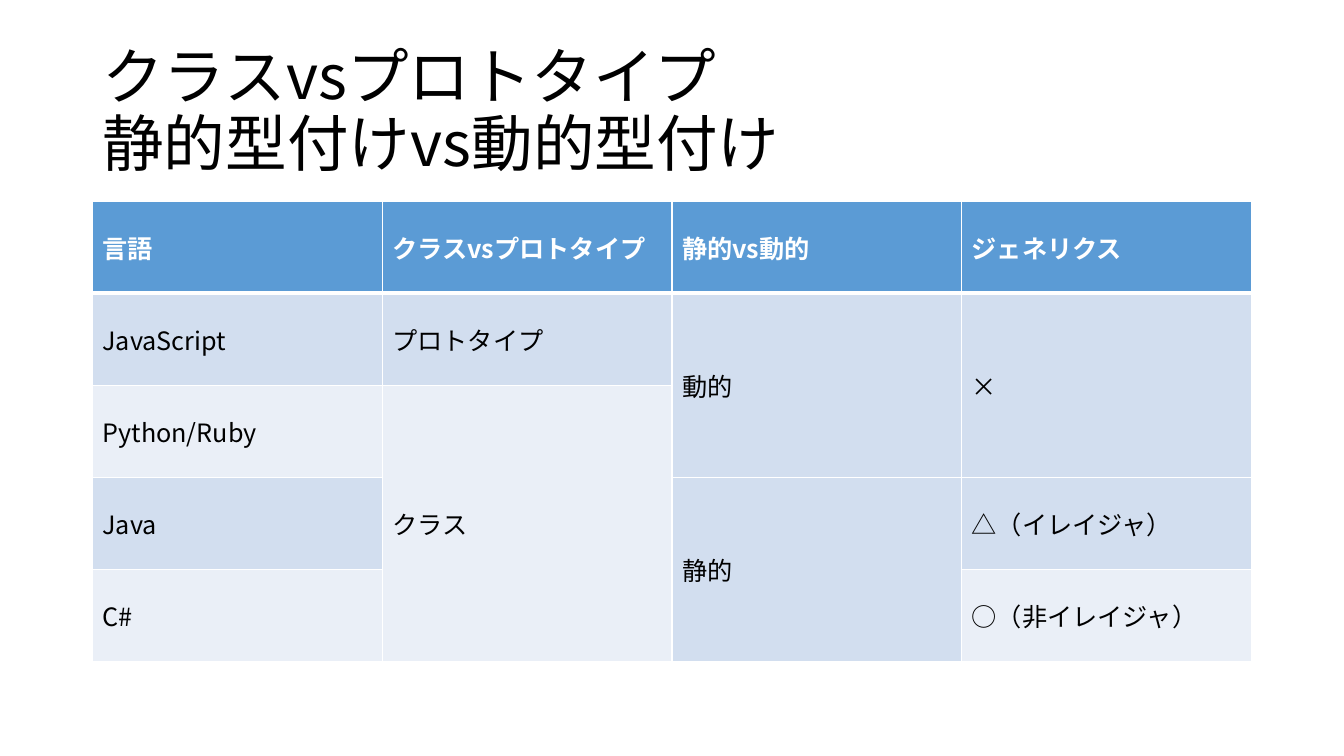
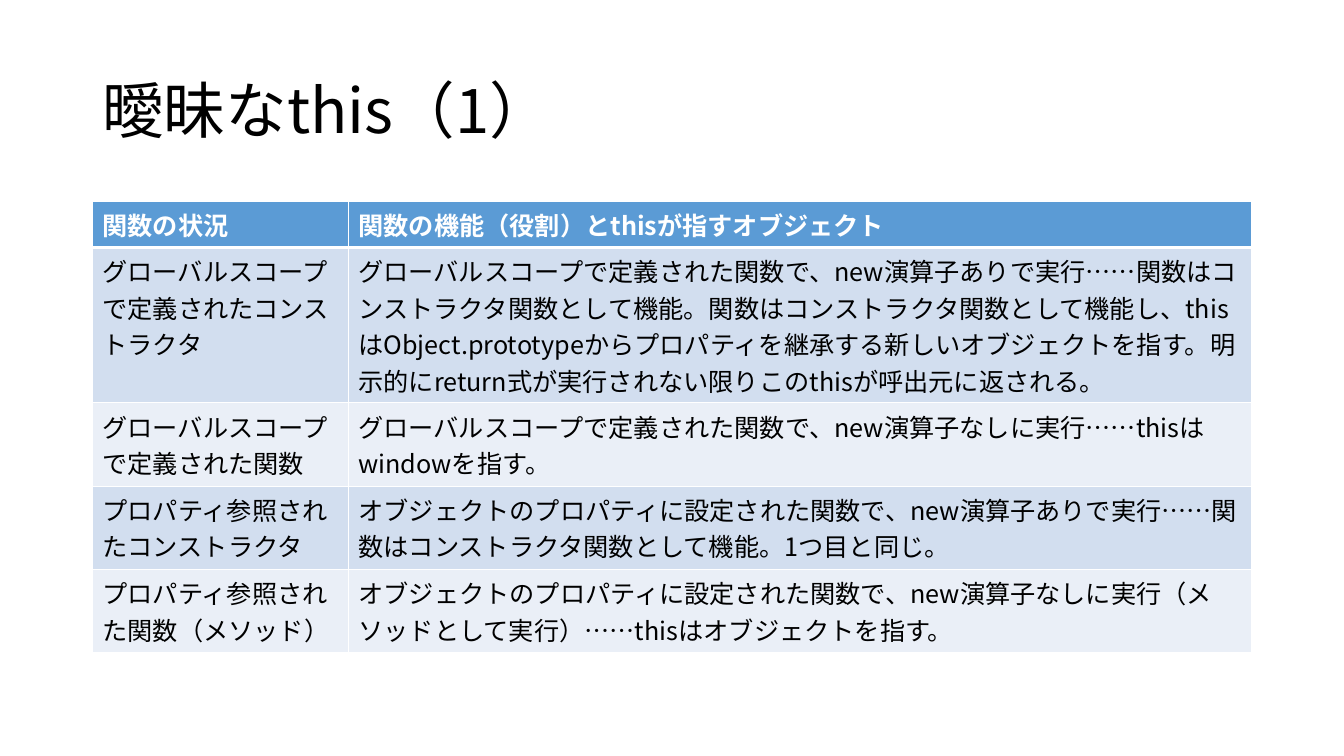
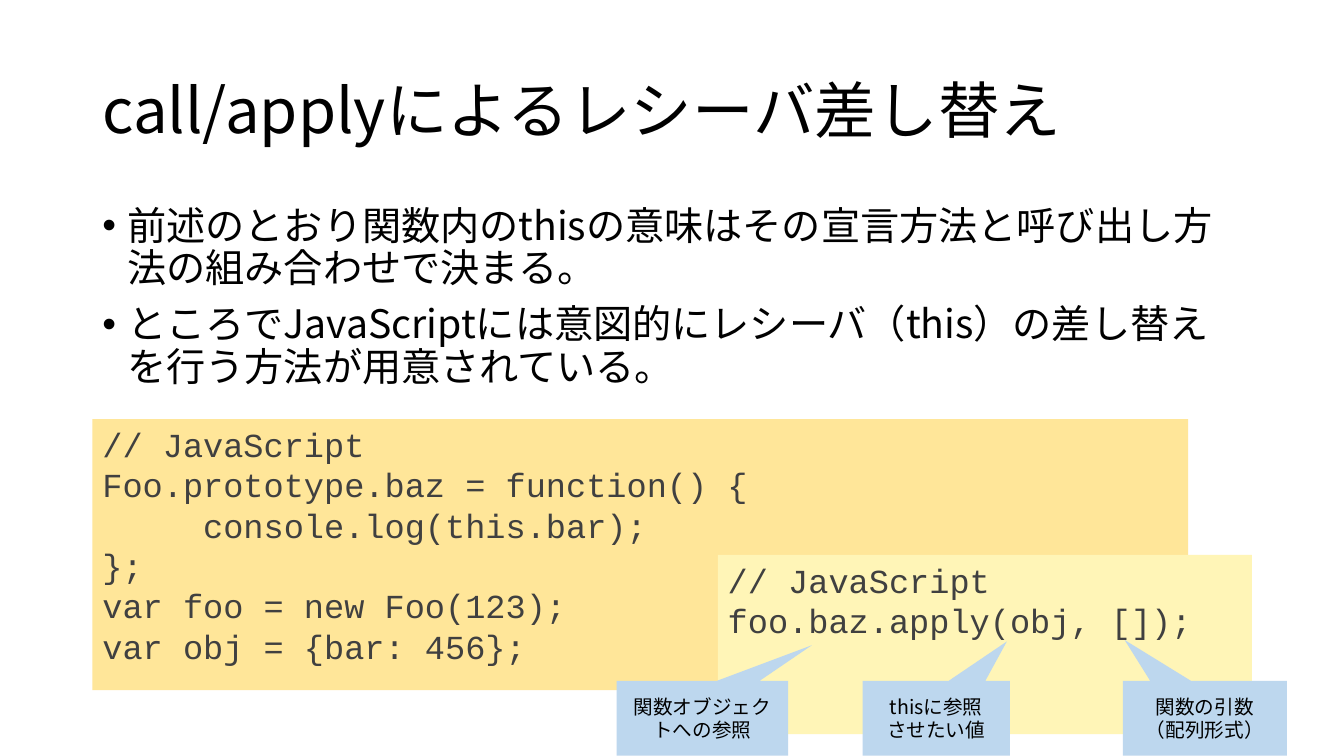
from copy import deepcopy

from lxml.etree import SubElement
from pptx import Presentation
from pptx.dml.color import RGBColor
from pptx.enum.lang import MSO_LANGUAGE_ID
from pptx.enum.shapes import MSO_SHAPE
from pptx.enum.text import MSO_ANCHOR, PP_ALIGN
from pptx.oxml.ns import qn
from pptx.util import Cm, Pt

COLORS = {
    "text": "000000", "white": "FFFFFF", "header": "5B9BD5",
    "band_dark": "D2DEEF", "band_light": "EAEFF7",
    "code": "404040", "note": "FFE699", "note_light": "FFF5B7", "callout": "BDD7EE",
}
SANS = "Noto Sans CJK JP"
MONO = "Courier New"
LEFT, TOP, WIDTH = 2.33, 5.07, 29.21


def rgb(name):
    return RGBColor.from_string(COLORS[name])


def write(tf, paragraphs, size=18, color="text", font=SANS, bold=False,
          align=PP_ALIGN.LEFT, spacing=None, before=None, bullet=None, tab=None):
    tf.word_wrap = True
    for i, text in enumerate(paragraphs):
        p = tf.add_paragraph() if i else tf.paragraphs[0]
        p.text = text
        p.alignment = align
        if spacing:
            p.line_spacing = spacing
        if before:
            p.space_before = Pt(before)
        pPr = p._p.get_or_add_pPr()
        if bullet:
            pPr.set("marL", str(Cm(0.63)))
            pPr.set("indent", str(-Cm(0.63)))
            SubElement(pPr, qn("a:buFont"), typeface="Arial")
            SubElement(pPr, qn("a:buChar"), char=bullet)
        if tab:
            tabs = SubElement(pPr, qn("a:tabLst"))
            SubElement(tabs, qn("a:tab"), pos=str(Cm(tab)), algn="l")
        for r in p.runs:
            r.font.size = Pt(size)
            r.font.bold = bold
            r.font.name = font
            r.font.color.rgb = rgb(color)
            r.font.language_id = MSO_LANGUAGE_ID.JAPANESE
            SubElement(r._r.rPr, qn("a:ea"), typeface=font)
        for br in p._p.findall(qn("a:br")):
            br.insert(0, deepcopy(p.runs[0]._r.rPr))


class Deck:
    """Holds the shared style and the current slide."""

    def __init__(self):
        self.prs = Presentation()
        self.prs.slide_width, self.prs.slide_height = Cm(33.87), Cm(19.05)

    def slide(self, title):
        self.s = self.prs.slides.add_slide(self.prs.slide_layouts[6])
        tf = self.text(1.01, 3.68, [title], size=44, spacing=0.9)
        tf.vertical_anchor = MSO_ANCHOR.MIDDLE

    def text(self, top, height, paragraphs, **fmt):
        sp = self.s.shapes.add_textbox(Cm(LEFT), Cm(top), Cm(WIDTH), Cm(height))
        write(sp.text_frame, paragraphs, **fmt)
        return sp.text_frame

    def shape(self, kind, box, fill, anchor, paragraphs, **fmt):
        sp = self.s.shapes.add_shape(kind, *map(Cm, box))
        sp.shadow.inherit = False
        sp.fill.solid()
        sp.fill.fore_color.rgb = rgb(fill)
        sp.line.fill.background()
        sp.text_frame.vertical_anchor = anchor
        write(sp.text_frame, paragraphs, **fmt)
        return sp

    def code(self, box, fill, lines):
        self.shape(MSO_SHAPE.FOLDED_CORNER, box, fill, MSO_ANCHOR.TOP, lines,
                   size=24, color="code", font=MONO, tab=2.54)

    def callout(self, box, tip, text):
        sp = self.shape(MSO_SHAPE.RECTANGULAR_CALLOUT, box, "callout",
                        MSO_ANCHOR.MIDDLE, [text], size=14, align=PP_ALIGN.CENTER)
        sp.adjustments[0], sp.adjustments[1] = tip

    def table(self, widths, heights, rows, anchor):
        """Draws a banded table; a None cell joins the cell above it."""
        frame = self.s.shapes.add_table(len(rows), len(widths), Cm(LEFT), Cm(TOP),
                                        Cm(WIDTH), Cm(sum(heights)))
        table = frame.table
        table.horz_banding = False
        for column, width in zip(table.columns, widths):
            column.width = Cm(width)
        for i, (row, height) in enumerate(zip(rows, heights)):
            table.rows[i].height = Cm(height)
            fill = "header" if i == 0 else "band_dark" if i % 2 else "band_light"
            for j, text in enumerate(row):
                cell = table.cell(i, j)
                cell.vertical_anchor = anchor
                cell.fill.solid()
                cell.fill.fore_color.rgb = rgb(fill)
                self.borders(cell, top=3 if i == 1 else 1, bottom=1 if i else 3)
                if text is not None:
                    write(cell.text_frame, [text], bold=i == 0,
                          color="text" if i else "white")
        for j, column in enumerate(zip(*rows)):
            starts = [i for i, text in enumerate(column) if text is not None]
            for start, end in zip(starts, starts[1:] + [len(rows)]):
                if end - start > 1:
                    table.cell(start, j).merge(table.cell(end - 1, j))

    def borders(self, cell, top, bottom):
        tcPr = cell._tc.get_or_add_tcPr()
        sides = (("lnL", 1), ("lnR", 1), ("lnT", top), ("lnB", bottom))
        for n, (side, width) in enumerate(sides):
            ln = SubElement(tcPr, qn(f"a:{side}"), w=str(Pt(width)))
            fill = SubElement(ln, qn("a:solidFill"))
            SubElement(fill, qn("a:srgbClr"), val=COLORS["white"])
            tcPr.insert(n, ln)


def main():
    deck = Deck()

    deck.slide("クラスvsプロトタイプ\n静的型付けvs動的型付け")
    deck.table([WIDTH / 4] * 4, [2.32] * 5, [
        ("言語", "クラスvsプロトタイプ", "静的vs動的", "ジェネリクス"),
        ("JavaScript", "プロトタイプ", "動的", "×"),
        ("Python/Ruby", "クラス", None, None),
        ("Java", None, "静的", "△（イレイジャ）"),
        ("C#", None, None, "○（非イレイジャ）"),
    ], MSO_ANCHOR.MIDDLE)

    deck.slide("曖昧なthis（1）")
    deck.table([6.45, WIDTH - 6.45], [1.17, 3.91, 2.1, 2.1, 2.1], [
        ("関数の状況", "関数の機能（役割）とthisが指すオブジェクト"),
        ("グローバルスコープで定義されたコンストラクタ",
         "グローバルスコープで定義された関数で、new演算子ありで実行……"
         "関数はコンストラクタ関数として機能。関数はコンストラクタ関数として機能し、"
         "thisはObject.prototypeからプロパティを継承する新しいオブジェクトを指す。"
         "明示的にreturn式が実行されない限りこのthisが呼出元に返される。"),
        ("グローバルスコープで定義された関数",
         "グローバルスコープで定義された関数で、new演算子なしに実行……thisはwindowを指す。"),
        ("プロパティ参照されたコンストラクタ",
         "オブジェクトのプロパティに設定された関数で、new演算子ありで実行……"
         "関数はコンストラクタ関数として機能。1つ目と同じ。"),
        ("プロパティ参照された関数（メソッド）",
         "オブジェクトのプロパティに設定された関数で、new演算子なしに実行"
         "（メソッドとして実行）……thisはオブジェクトを指す。"),
    ], MSO_ANCHOR.TOP)

    deck.slide("call/applyによるレシーバ差し替え")
    deck.text(TOP, 12.09, [
        "前述のとおり関数内のthisの意味はその宣言方法と呼び出し方法の組み合わせで決まる。",
        "ところでJavaScriptには意図的にレシーバ（this）の差し替えを行う方法が用意されている。",
    ], size=28, spacing=0.9, before=10, bullet="•")
    deck.code((LEFT, 10.56, 27.61, 6.83), "note", [
        "// JavaScript",
        "Foo.prototype.baz = function() {",
        "\tconsole.log(this.bar);",
        "};",
        "var foo = new Foo(123);",
        "var obj = {bar: 456};",
    ])
    deck.code((18.09, 13.98, 13.46, 4.52), "note_light",
              ["// JavaScript", "foo.baz.apply(obj, []);"])
    for left, width, tip, text in (
        (15.54, 4.32, (0.64, -0.98), "関数オブジェクトへの参照"),
        (21.74, 3.71, (0.48, -1.03), "thisに参照\nさせたい値"),
        (28.3, 4.13, (-0.49, -1.05), "関数の引数\n（配列形式）"),
    ):
        deck.callout((left, 17.16, width, 1.88), tip, text)

    deck.prs.save("out.pptx")


if __name__ == "__main__":
    main()
